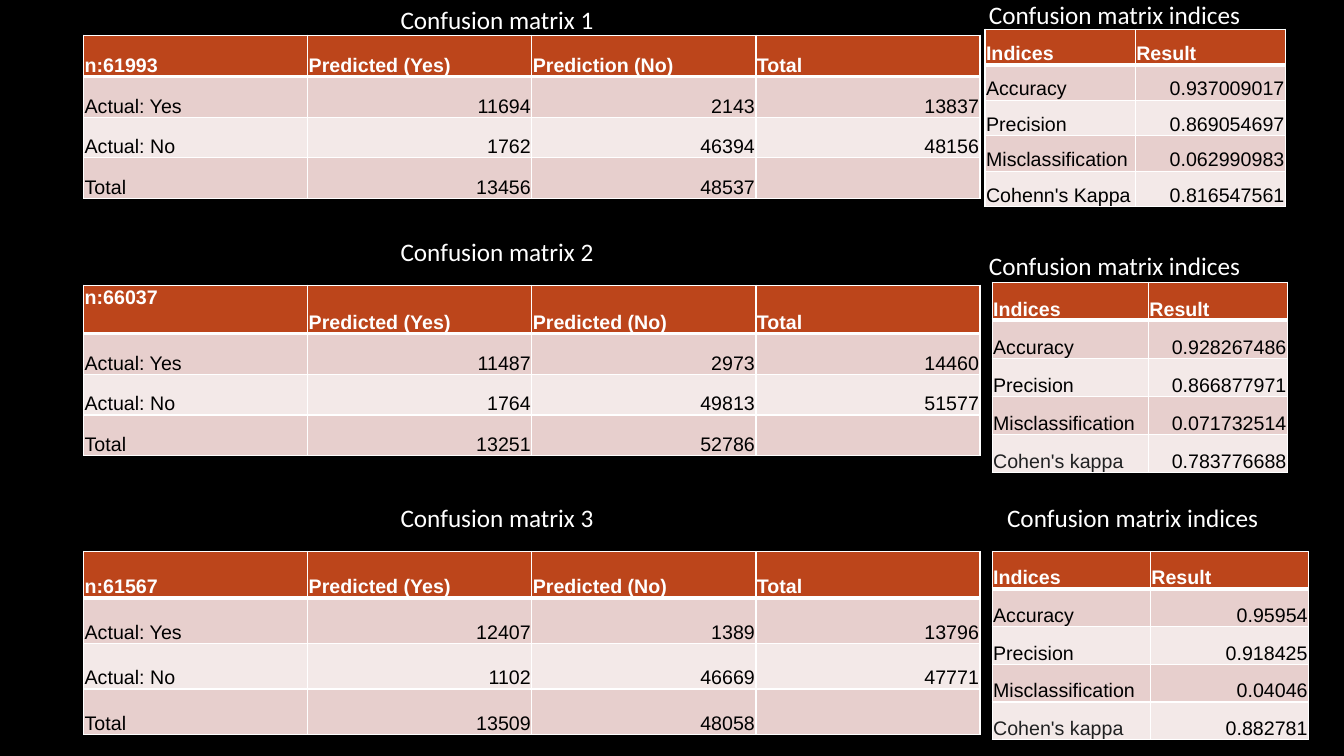
from lxml import etree
from pptx import Presentation
from pptx.dml.color import RGBColor
from pptx.enum.text import MSO_ANCHOR as Anchor, PP_ALIGN as Align
from pptx.oxml.ns import qn
from pptx.util import Inches, Pt

BLACK, WHITE, INK = "000000", "FFFFFF", "202122"
HEADER_FILL, BAND_FILLS = "BC451B", ("E7CFCD", "F3E9E8")
CELL_FORMAT = {
    "margin_left": Inches(0.01),
    "margin_right": Inches(0.01),
    "margin_top": Inches(0.01),
    "margin_bottom": 0,
    "vertical_anchor": Anchor.BOTTOM,
}
INDEX_NAMES = ["Accuracy", "Precision", "Misclassification"]

# Boxes are (left, top, width, height); counts are (yes, no) for each actual class.
SECTIONS = [
    {
        "matrix_title": ("Confusion matrix 1", (2.43, -0.01, 5, 0.4)),
        "matrix_box": (0.83, 0.35, 8.89, 1.62), "header_height": 0.41,
        "no_label": "Prediction (No)", "counts": [(11694, 2143), (1762, 46394)],
        "indices_title_box": (9.71, -0.06, 3.04, 0.4),
        "indices_box": (9.77, 0.29, 2.98, 1.76), "name_width": 1.49,
        "kappa": ("Cohenn's Kappa", BLACK),
        "results": ["0.937009017", "0.869054697", "0.062990983", "0.816547561"],
    },
    {
        "matrix_title": ("Confusion matrix 2", (2.43, 2.3, 5, 0.4)),
        "matrix_box": (0.83, 2.83, 8.89, 1.69), "header_height": 0.48,
        "no_label": "Predicted (No)", "counts": [(11487, 2973), (1764, 49813)],
        "corner_anchor": Anchor.TOP,
        "indices_title_box": (9.71, 2.43, 3.04, 0.4),
        "indices_box": (9.84, 2.8, 2.93, 1.89), "name_width": 1.55,
        "kappa": ("Cohen's kappa", INK),
        "results": ["0.928267486", "0.866877971", "0.071732514", "0.783776688"],
    },
    {
        "matrix_title": ("Confusion matrix 3", (2.43, 4.93, 5, 0.4)),
        "matrix_box": (0.83, 5.47, 8.89, 1.82), "header_height": 0.46,
        "no_label": "Predicted (No)", "counts": [(12407, 1389), (1102, 46669)],
        "indices_title_box": (9.89, 4.93, 3.04, 0.4),
        "indices_box": (9.84, 5.47, 3.14, 1.87), "name_width": 1.57,
        "kappa": ("Cohen's kappa", INK),
        "results": ["0.95954", "0.918425", "0.04046", "0.882781"],
    },
]


def rgb(color):
    return RGBColor.from_string(color)


def set_font(font, name, size, color, bold=False):
    for attribute, value in {"name": name, "size": Pt(size), "bold": bold}.items():
        setattr(font, attribute, value)
    font.color.rgb = rgb(color)


def add_caption(slide, box, caption, align):
    frame = slide.shapes.add_textbox(*map(Inches, box)).text_frame
    frame.word_wrap = True
    paragraph = frame.paragraphs[0]
    paragraph.alignment = align
    run = paragraph.add_run()
    run.text = caption
    set_font(run.font, "Calibri", 18, WHITE)


def set_borders(cell, top, bottom):
    """Draw white cell borders; widths are in points and the sides are 1 pt."""
    properties = cell._tc.get_or_add_tcPr()
    for side, width in {"L": 1, "R": 1, "T": top, "B": bottom}.items():
        line = etree.SubElement(properties, qn(f"a:ln{side}"), w=str(Pt(width)))
        fill = etree.SubElement(line, qn("a:solidFill"))
        etree.SubElement(fill, qn("a:srgbClr"), val=WHITE)


def format_cell(cell, row, column, text):
    for attribute, value in CELL_FORMAT.items():
        setattr(cell, attribute, value)
    is_header = row == 0
    set_borders(cell, top=3 if row == 1 else 1, bottom=3 if is_header else 1)
    cell.fill.solid()
    cell.fill.fore_color.rgb = rgb(HEADER_FILL if is_header else BAND_FILLS[(row - 1) % 2])
    cell.text = text
    paragraph = cell.text_frame.paragraphs[0]
    paragraph.alignment = Align.LEFT if is_header or column == 0 else Align.RIGHT
    set_font(paragraph.font, "Arial", 14, WHITE if is_header else BLACK, is_header)


def add_data_table(slide, box, rows, column_widths, header_height):
    table = slide.shapes.add_table(len(rows), len(rows[0]), *map(Inches, box)).table
    for column, width in zip(table.columns, column_widths):
        column.width = Inches(width)
    body_height = (box[3] - header_height) / (len(rows) - 1)
    for r, texts in enumerate(rows):
        table.rows[r].height = Inches(body_height if r else header_height)
        for c, text in enumerate(texts):
            format_cell(table.cell(r, c), r, c, text)
    return table


def add_matrix(slide, section):
    """Place a confusion matrix with its row and column totals."""
    caption, caption_box = section["matrix_title"]
    add_caption(slide, caption_box, caption, Align.CENTER)
    actual_yes, actual_no = section["counts"]
    column_totals = [sum(pair) for pair in zip(actual_yes, actual_no)]
    rows = [
        [f"n:{sum(column_totals)}", "Predicted (Yes)", section["no_label"], "Total"],
        ["Actual: Yes", *map(str, actual_yes), str(sum(actual_yes))],
        ["Actual: No", *map(str, actual_no), str(sum(actual_no))],
        ["Total", *map(str, column_totals), ""],
    ]
    box = section["matrix_box"]
    table = add_data_table(slide, box, rows, [box[2] / 4] * 4, section["header_height"])
    table.cell(0, 0).vertical_anchor = section.get("corner_anchor", Anchor.BOTTOM)


def add_indices(slide, section):
    add_caption(slide, section["indices_title_box"], "Confusion matrix indices", Align.LEFT)
    kappa_name, kappa_color = section["kappa"]
    names = INDEX_NAMES + [kappa_name]
    rows = [("Indices", "Result"), *zip(names, section["results"])]
    box, name_width = section["indices_box"], section["name_width"]
    table = add_data_table(slide, box, rows, [name_width, box[2] - name_width],
                           box[3] / len(rows))
    kappa_cell = table.cell(len(rows) - 1, 0)
    kappa_cell.text_frame.paragraphs[0].font.color.rgb = rgb(kappa_color)


def main():
    deck = Presentation()
    deck.slide_width, deck.slide_height = Inches(13.33), Inches(7.5)
    slide = deck.slides.add_slide(deck.slide_layouts[6])
    slide.background.fill.solid()
    slide.background.fill.fore_color.rgb = rgb(BLACK)
    for section in SECTIONS:
        add_matrix(slide, section)
        add_indices(slide, section)
    deck.save("out.pptx")


if __name__ == "__main__":
    main()
